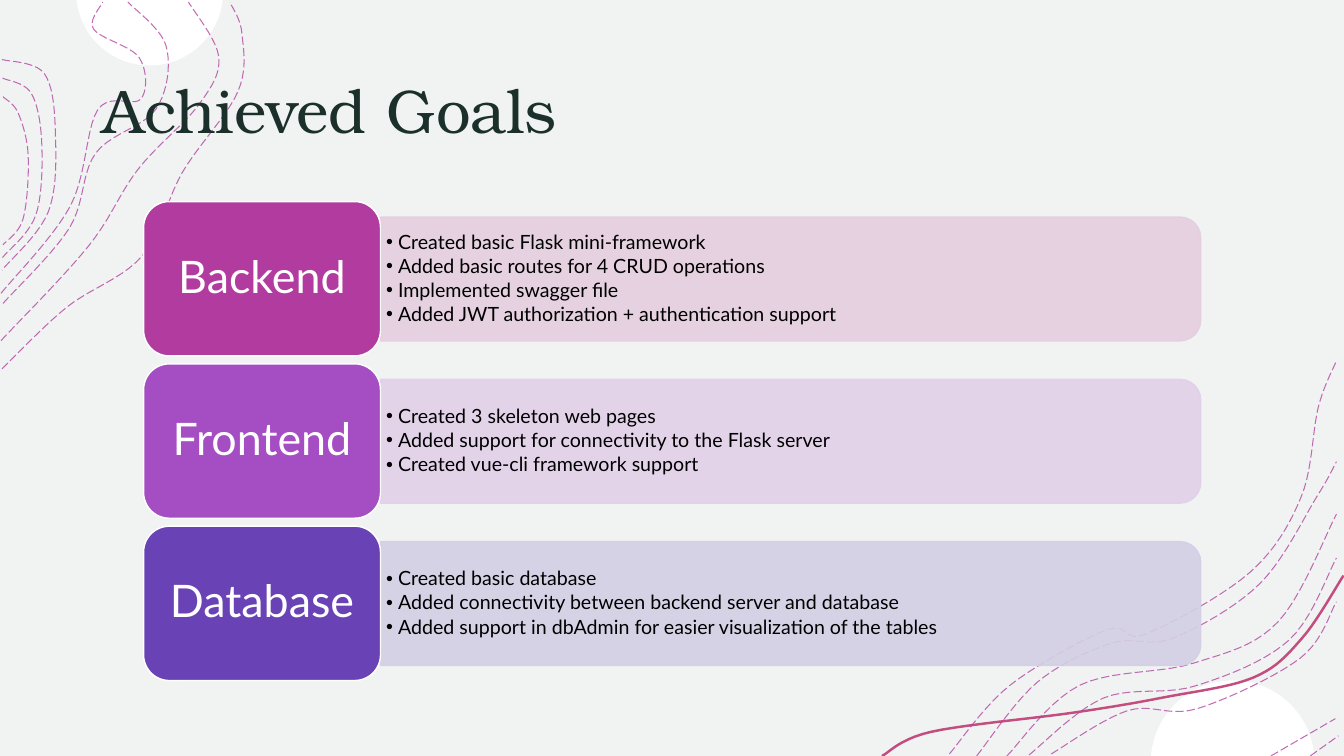
import math

import pptx
import pptx.dml.color
import pptx.enum.dml
import pptx.enum.shapes
import pptx.enum.text
import pptx.oxml
import pptx.oxml.ns
import pptx.util
from lxml import etree

Cm, Pt = pptx.util.Cm, pptx.util.Pt
RGBColor = pptx.dml.color.RGBColor
PresetShape = pptx.enum.shapes.MSO_SHAPE
Align = pptx.enum.text.PP_ALIGN

PAPER = RGBColor(0xF0, 0xF3, 0xF2)
WHITE = RGBColor(0xFF, 0xFF, 0xFF)
BLACK = RGBColor(0x00, 0x00, 0x00)
DARK_GREEN = RGBColor(0x1B, 0x30, 0x2A)
MAGENTA = RGBColor(0xB1, 0x3B, 0x9E)
ORCHID = RGBColor(0xA5, 0x4D, 0xC3)
VIOLET = RGBColor(0x69, 0x43, 0xB5)
PALE_MAGENTA = RGBColor(0xE4, 0xCE, 0xDF)
PALE_ORCHID = RGBColor(0xE1, 0xD0, 0xE9)
PALE_VIOLET = RGBColor(0xD4, 0xCF, 0xE5)
ROSE = RGBColor(0xC3, 0x4D, 0x7E)

UNIT = Cm(0.0254)  # curve points are counted in this unit

# Single dashed contours: top left corner, then bottom right corner
CONTOURS = [
    [(2, 366), (66, 305), (141, 254), (181, 171), (236, 91), (240, 33), (228, 2)],
    [(1, 338), (88, 244), (137, 168), (198, 103), (217, 56), (187, 2)],
    [(3, 301), (69, 226), (95, 152), (155, 108), (165, 46), (127, 2)],
    [(1, 291), (70, 204), (97, 109), (140, 98), (138, 57), (93, 29), (102, 2)],
    [(942, 748), (1002, 680), (1098, 625), (1137, 629), (1240, 568), (1291, 493), (1308, 404), (1326, 358)],
    [(969, 750), (1029, 677), (1103, 638), (1164, 633), (1250, 579), (1307, 492), (1326, 458)],
    [(1300, 750), (1328, 730)],
    [(1261, 750), (1325, 713)],
]
# Families of three: first and last contour, the middle one is their mean
FAMILIES = [
    ([(2, 59), (44, 73), (55, 132), (48, 210), (2, 268)],
     [(3, 96), (18, 112), (28, 154), (23, 217), (3, 243)]),
    ([(999, 750), (1071, 680), (1184, 658), (1268, 617), (1326, 510)],
     [(1043, 748), (1119, 705), (1188, 703), (1290, 653), (1326, 597)]),
]
RIBBON = [(875, 750), (924, 726), (1065, 707), (1154, 692), (1244, 672), (1292, 633), (1333, 571)]

GOALS = [
    ("Backend", MAGENTA, PALE_MAGENTA,
     ["Created basic Flask mini-framework", "Added basic routes for 4 CRUD operations",
      "Implemented swagger file", "Added JWT authorization + authentication support"]),
    ("Frontend", ORCHID, PALE_ORCHID,
     ["Created 3 skeleton web pages", "Added support for connectivity to the Flask server",
      "Created vue-cli framework support"]),
    ("Database", VIOLET, PALE_VIOLET,
     ["Created basic database", "Added connectivity between backend server and database",
      "Added support in dbAdmin for easier visualization of the tables"]),
]


def smooth_curve(knots, steps=10):
    """Sample a Catmull-Rom curve through the knots."""
    ends = [knots[0], *knots, knots[-1]]
    points = [knots[0]]
    for a, b, c, d in zip(ends, ends[1:], ends[2:], ends[3:]):
        for step in range(1, steps + 1):
            t = step / steps
            points.append(tuple(
                q + t * (r - p + t * (2 * p - 5 * q + 4 * r - s + t * (3 * (q - r) + s - p))) / 2
                for p, q, r, s in zip(a, b, c, d)))
    return points


def mean_curve(first, last):
    return [((x1 + x2) / 2, (y1 + y2) / 2) for (x1, y1), (x2, y2) in zip(first, last)]


def write(para, text, *, font, size, color, align=Align.LEFT, spacing=0.9, after=0, bullet=False):
    para.alignment, para.line_spacing = align, spacing
    para.space_before, para.space_after = Pt(0), Pt(after)
    span = para.add_run()
    span.text = text
    span.font.name, span.font.size, span.font.bold = font, Pt(size), False
    span.font.color.rgb = color
    if bullet:
        props = para._p.get_or_add_pPr()
        props.set("marL", str(Cm(0.3)))
        props.set("indent", str(-Cm(0.3)))
        etree.SubElement(props, pptx.oxml.ns.qn("a:buFont")).set("typeface", "Arial")
        etree.SubElement(props, pptx.oxml.ns.qn("a:buChar")).set("char", "•")


class GoalsPage:
    heading_font = "TeX Gyre Bonum"
    body_font = "Lato"

    def __init__(self, deck):
        self.page = deck.slides.add_slide(deck.slide_layouts[4])
        self.page.background.fill.solid()
        self.page.background.fill.fore_color.rgb = PAPER

    def paint(self, shape, fill=None, line=None, width=1, opacity=100):
        shape.shadow.inherit = False
        for part, color in ((shape.fill, fill), (shape.line.fill, line)):
            if color is None:
                part.background()
            else:
                part.solid()
                part.fore_color.rgb = color
        if line is not None:
            shape.line.width = Pt(width)
        if opacity < 100:
            for color in list(shape.element.spPr.iter(pptx.oxml.ns.qn("a:srgbClr"))):
                etree.SubElement(color, pptx.oxml.ns.qn("a:alpha")).set("val", str(opacity * 1000))

    def outline(self, points, closed=False, **paint):
        points = [(x * UNIT, y * UNIT) for x, y in points]
        builder = self.page.shapes.build_freeform(*points[0])
        builder.add_line_segments(points[1:], close=closed)
        shape = builder.convert_to_shape()
        self.paint(shape, **paint)
        return shape

    def contour(self, knots):
        shape = self.outline(smooth_curve(knots), line=MAGENTA, width=0.75, opacity=75)
        shape.line.dash_style = pptx.enum.dml.MSO_LINE.LONG_DASH

    def cap(self, middle, edge, half, rise):
        """White circle segment cut off by the slide edge; rise is signed."""
        radius = (half ** 2 + rise ** 2) / (2 * abs(rise))
        sign = math.copysign(1, rise)
        limit = math.asin(half / radius)
        angles = [limit * step / 24 for step in range(-24, 25)]
        self.outline([(middle + radius * math.sin(a),
                       edge + rise + sign * radius * (math.cos(a) - 1)) for a in angles],
                     closed=True, fill=WHITE)

    def frame(self, box, left, top, width, height, inset_x, inset_y):
        box.left, box.top, box.width, box.height = Cm(left), Cm(top), Cm(width), Cm(height)
        frame = box.text_frame
        frame.word_wrap = True
        frame.auto_size = pptx.enum.text.MSO_AUTO_SIZE.NONE
        frame.vertical_anchor = pptx.enum.text.MSO_ANCHOR.MIDDLE
        frame.margin_left = frame.margin_right = Cm(inset_x)
        frame.margin_top = frame.margin_bottom = Cm(inset_y)
        return frame

    def raise_to_front(self, box):
        box.element.getparent().append(box.element)

    def title(self, text):
        box = self.page.shapes.title
        frame = self.frame(box, 2.34, 1.02, 29.21, 3.68, 0.25, 0.13)
        write(frame.paragraphs[0], text, font=self.heading_font, size=44, color=DARK_GREEN)
        self.raise_to_front(box)

    def panel(self, top, color):
        width, height = 20.67, 3.12
        shape = self.page.shapes.add_shape(
            PresetShape.ROUND_2_SAME_RECTANGLE, Cm(9.59 + (width - height) / 2),
            Cm(top + (height - width) / 2), Cm(height), Cm(width))
        shape.rotation = 90
        self.paint(shape, fill=color, line=color, opacity=90)

    def goal_list(self, box, top, items):
        frame = self.frame(box, 9.58, top, 20.52, 2.82, 0.15, 0.08)
        for number, item in enumerate(items):
            para = frame.add_paragraph() if number else frame.paragraphs[0]
            write(para, item, font=self.body_font, size=14, color=BLACK, after=2.1, bullet=True)
        self.raise_to_front(box)

    def badge(self, top, text, color):
        shape = self.page.shapes.add_shape(PresetShape.ROUNDED_RECTANGLE, 0, 0, 0, 0)
        frame = self.frame(shape, 3.62, top, 5.97, 3.89, 0.33, 0.17)
        self.paint(shape, fill=color, line=WHITE)
        write(frame.paragraphs[0], text, font=self.body_font, size=32, color=WHITE, align=Align.CENTER)


def main():
    deck = pptx.Presentation()
    deck.slide_width, deck.slide_height = Cm(33.87), Cm(19.05)
    goals_page = GoalsPage(deck)
    holders = {box.placeholder_format.idx: box for box in goals_page.page.placeholders}

    # Background decoration
    goals_page.cap(148.5, 0, 72.5, 65)
    goals_page.cap(1223, 750, 81, -75)
    goals_page.outline(smooth_curve(RIBBON), line=ROSE, width=1.75)
    for knots in CONTOURS:
        goals_page.contour(knots)
    for first, last in FAMILIES:
        for knots in (first, mean_curve(first, last), last):
            goals_page.contour(knots)

    # Title and one row for each goal
    goals_page.title("Achieved Goals")
    for row, (name, strong, pale, items) in enumerate(GOALS):
        top = 5.08 + 4.09 * row
        goals_page.panel(top + 0.39, pale)
        goals_page.goal_list(holders[row + 1], top + 0.54, items)
        goals_page.badge(top, name, strong)

    # Unused placeholders
    for idx, box in holders.items():
        if len(GOALS) < idx < 10:
            box.element.getparent().remove(box.element)
    deck.save("out.pptx")


if __name__ == "__main__":
    main()
